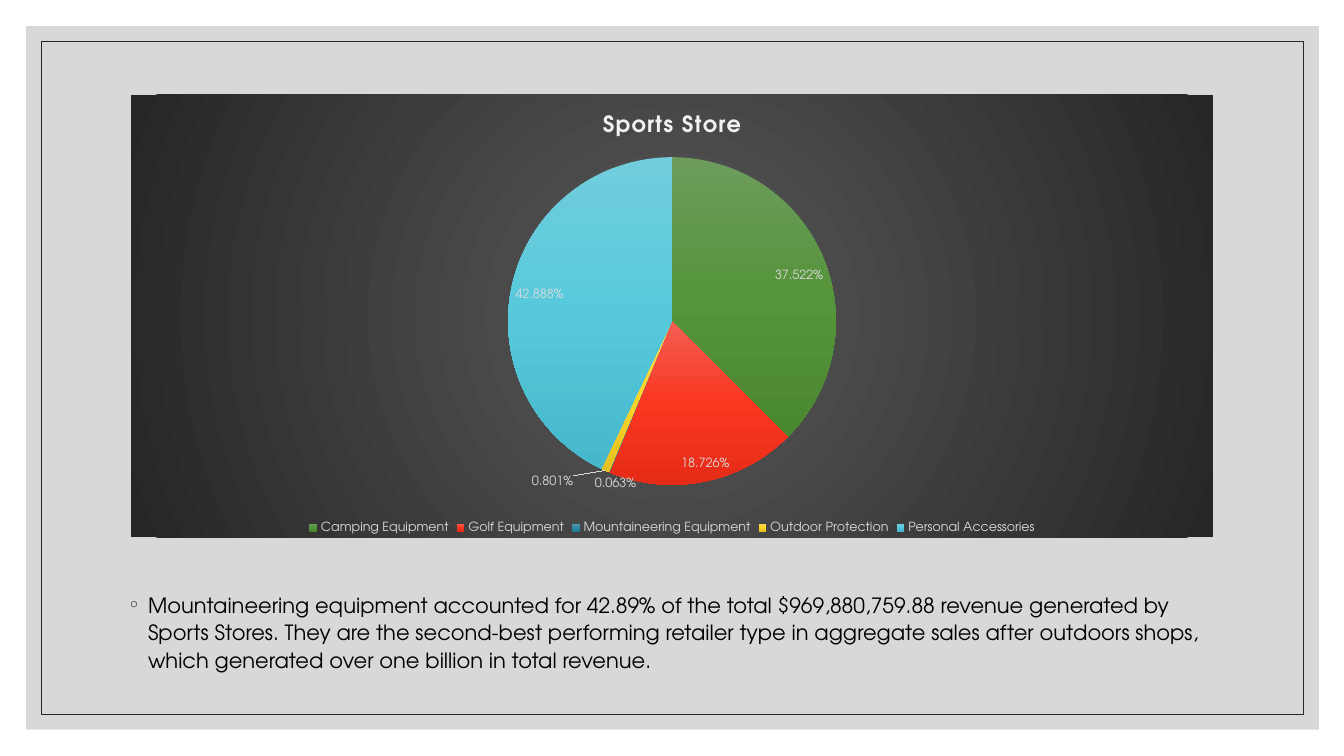
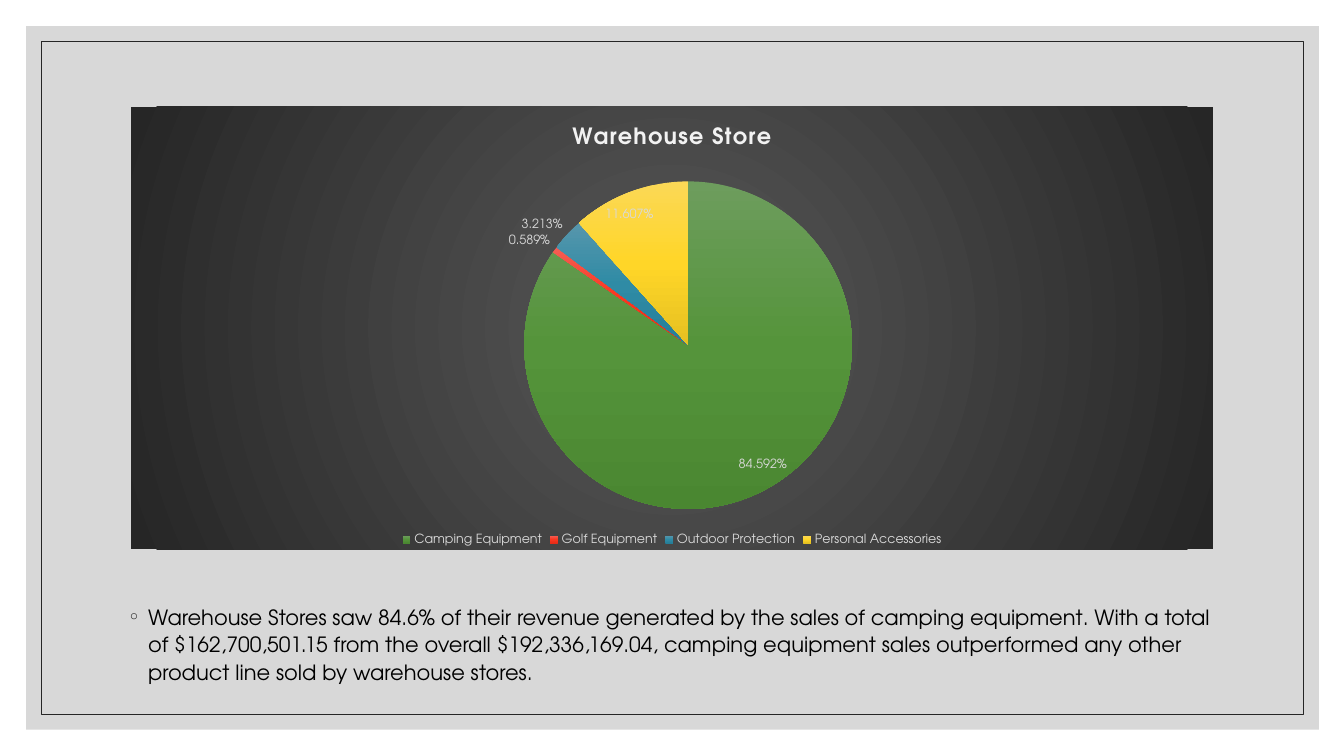
from pptx import Presentation
from pptx.chart.data import CategoryChartData
from pptx.dml.color import RGBColor
from pptx.enum.chart import XL_CHART_TYPE, XL_LABEL_POSITION, XL_LEGEND_POSITION
from pptx.enum.shapes import MSO_SHAPE
from pptx.enum.text import MSO_ANCHOR, PP_ALIGN
from pptx.oxml import parse_xml
from pptx.oxml.ns import nsdecls, qn
from pptx.util import Inches, Pt

RECTANGLE = MSO_SHAPE.RECTANGLE
PIE = XL_CHART_TYPE.PIE
BEST_FIT = XL_LABEL_POSITION.BEST_FIT
BOTTOM = XL_LEGEND_POSITION.BOTTOM
TOP = MSO_ANCHOR.TOP
LEFT = PP_ALIGN.LEFT

FONT, BULLET_FONT = "TeX Gyre Adventor", "Garamond"
BLACK, DARK, PANEL = "000000", "262626", "BFBFBF"
CHART_TEXT, CHART_TITLE = "D9D9D9", "F2F2F2"
CHART_GLOW = ("595959", DARK)
# Top, middle and bottom colour of each slice, in order
SLICES = [
    ("6D9D5D", "55943B", "4A8731"),
    ("F45E54", "FA3721", "E52C17"),
    ("5796AC", "2F8BA5", "257E98"),
    ("FBD856", "FFD628", "E5C021"),
    ("72CDDC", "56CADC", "45B9CB"),
]
CHART_LEFT, CHART_WIDTH, CHART_HEIGHT = 1.3, 10.73, 4.39
PIE_SIZE = 3.25


def rgb(value):
    return RGBColor.from_string(value)


def gradient(colours, direction):
    """Gradient fill with evenly spaced stops."""
    step = 100000 // (len(colours) - 1)
    stops = "".join(
        f'<a:gs pos="{i * step}"><a:srgbClr val="{colour}"/></a:gs>'
        for i, colour in enumerate(colours))
    return parse_xml(f'<a:gradFill {nsdecls("a")} rotWithShape="1">'
                     f'<a:gsLst>{stops}</a:gsLst>{direction}</a:gradFill>')


class Deck:
    def __init__(self):
        self.prs = Presentation()
        self.prs.slide_width = Inches(13.33)
        self.prs.slide_height = Inches(7.5)
        self.slide = None

    def new_slide(self):
        self.slide = self.prs.slides.add_slide(self.prs.slide_layouts[6])
        # Translucent panel with a thin frame inside it
        panel = self.rectangle(0.26, 0.26, 12.82, 6.98)
        panel.fill.solid()
        panel.fill.fore_color.rgb = rgb(PANEL)
        colour = panel.fill._xPr.find(".//" + qn("a:srgbClr"))
        colour.append(parse_xml(f'<a:alpha {nsdecls("a")} val="60000"/>'))
        panel.line.fill.background()
        frame = self.rectangle(0.41, 0.41, 12.52, 6.68)
        frame.fill.background()
        frame.line.color.rgb = rgb(DARK)
        frame.line.width = Pt(0.5)

    def rectangle(self, left, top, width, height):
        shape = self.slide.shapes.add_shape(
            RECTANGLE, Inches(left), Inches(top), Inches(width), Inches(height))
        shape.shadow.inherit = False
        return shape

    def style(self, font, size, colour, bold=False):
        font.name, font.size, font.bold = FONT, Pt(size), bold
        font.color.rgb = rgb(colour)

    def bullet(self, text, top, height):
        box = self.slide.shapes.add_textbox(
            Inches(1.17), Inches(top), Inches(11), Inches(height))
        frame = box.text_frame
        frame.word_wrap = True
        frame.vertical_anchor = TOP
        frame.text = text
        paragraph = frame.paragraphs[0]
        paragraph.alignment = LEFT
        paragraph.line_spacing = 1.1
        paragraph.space_before = Pt(9)
        self.style(paragraph.runs[0].font, 15, BLACK)
        props = paragraph._p.get_or_add_pPr()
        props.set("marL", str(Inches(0.2)))
        props.set("indent", str(Inches(-0.2)))
        props.append(parse_xml(
            f'<a:buClr {nsdecls("a")}><a:srgbClr val="{DARK}"/></a:buClr>'))
        props.append(parse_xml(
            f'<a:buFont {nsdecls("a")} typeface="{BULLET_FONT}"/>'))
        props.append(parse_xml(f'<a:buChar {nsdecls("a")} char="◦"/>'))

    def pie(self, title, shares, top, pie_left, pie_top):
        data = CategoryChartData(number_format="0.000")
        data.categories = list(shares)
        data.add_series("Series 1", list(shares.values()))
        chart = self.slide.shapes.add_chart(
            PIE, Inches(CHART_LEFT), Inches(top),
            Inches(CHART_WIDTH), Inches(CHART_HEIGHT), data).chart
        self.style(chart.font, 10, BLACK)

        # Title and legend
        chart.has_title = True
        heading = chart.chart_title.text_frame
        heading.text = title
        heading_run = heading.paragraphs[0].runs[0]
        self.style(heading_run.font, 16, CHART_TITLE, bold=True)
        heading_run._r.get_or_add_rPr().set("spc", "100")
        chart.has_legend = True
        chart.legend.position = BOTTOM
        chart.legend.include_in_layout = False
        self.style(chart.legend.font, 9, CHART_TEXT)

        # Slices and their labels; the shares are percentages already
        plot = chart.plots[0]
        plot.vary_by_categories = True
        series = plot.series[0]
        for i, colours in enumerate(SLICES[:len(shares)]):
            fill = series.points[i].format.fill
            fill.solid()
            solid = fill._xPr.find(qn("a:solidFill"))
            fill._xPr.replace(
                solid, gradient(colours, '<a:lin ang="5400000" scaled="0"/>'))
        labels = series.data_labels
        labels.show_value = True
        labels.number_format = '0.000"%"'
        labels.number_format_is_linked = False
        labels.position = BEST_FIT
        self.style(labels.font, 9, CHART_TEXT)

        # Dark radial background
        space = chart._chartSpace
        background = parse_xml(f'<c:spPr {nsdecls("c", "a")}/>')
        background.append(gradient(
            CHART_GLOW, '<a:path path="circle"><a:fillToRect l="50000" '
            't="50000" r="50000" b="50000"/></a:path>'))
        background.append(parse_xml(f'<a:ln {nsdecls("a")}><a:noFill/></a:ln>'))
        space.find(qn("c:chart")).addnext(background)

        # Place of the pie as fractions of the chart
        place = {
            "x": (pie_left - CHART_LEFT) / CHART_WIDTH,
            "y": (pie_top - top) / CHART_HEIGHT,
            "w": PIE_SIZE / CHART_WIDTH,
            "h": PIE_SIZE / CHART_HEIGHT,
        }
        modes = "".join(f'<c:{key}Mode val="edge"/>' for key in "xy")
        sizes = "".join(f'<c:{key} val="{part:.4f}"/>' for key, part in place.items())
        area = space.find(".//" + qn("c:plotArea"))
        for layout in area.findall(qn("c:layout")):
            area.remove(layout)
        area.insert(0, parse_xml(
            f'<c:layout {nsdecls("c")}><c:manualLayout>'
            f'<c:layoutTarget val="inner"/>{modes}{sizes}'
            '</c:manualLayout></c:layout>'))


deck = Deck()

# Sports stores
deck.new_slide()
deck.bullet(
    "Mountaineering equipment accounted for 42.89% of the total $969,880,759.88 "
    "revenue generated by Sports Stores. They are the second-best performing "
    "retailer type in aggregate sales after outdoors shops, which generated over "
    "one billion in total revenue.", top=5.8, height=1.28)
deck.pie("Sports Store", {
    "Camping Equipment": 37.522,
    "Golf Equipment": 18.726,
    "Mountaineering Equipment": 0.063,
    "Outdoor Protection": 0.801,
    "Personal Accessories": 42.888,
}, top=0.94, pie_left=5.04, pie_top=1.56)

# Warehouse stores
deck.new_slide()
deck.bullet(
    "Warehouse Stores saw 84.6% of their revenue generated by the sales of camping "
    "equipment. With a total of $162,700,501.15 from the overall $192,336,169.04, "
    "camping equipment sales outperformed any other product line sold by "
    "warehouse stores.", top=5.92, height=1.13)
deck.pie("Warehouse Store", {
    "Camping Equipment": 84.592,
    "Golf Equipment": 0.589,
    "Outdoor Protection": 3.213,
    "Personal Accessories": 11.607,
}, top=1.06, pie_left=5.2, pie_top=1.8)

deck.prs.save("out.pptx")
